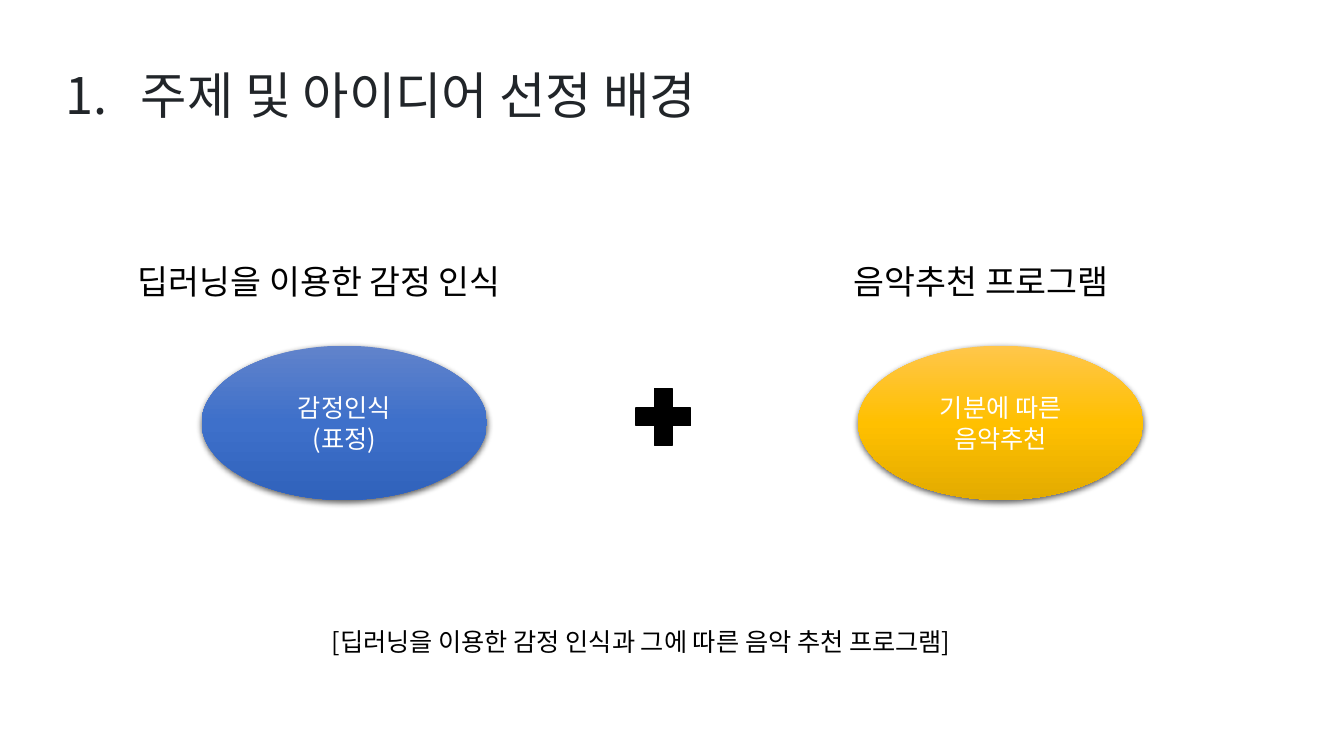
from dataclasses import dataclass

from lxml.etree import SubElement
from pptx import Presentation
from pptx.dml.color import RGBColor
from pptx.enum.shapes import MSO_SHAPE
from pptx.enum.text import MSO_ANCHOR, MSO_AUTO_SIZE, PP_ALIGN
from pptx.oxml import parse_xml
from pptx.oxml.ns import nsdecls, qn
from pptx.util import Inches, Pt


@dataclass(frozen=True)
class Theme:
    font: str = "Noto Sans CJK KR"
    title_color: str = "212529"
    black: str = "000000"
    white: str = "FFFFFF"
    blue: tuple = ("6183CB", "3E70CA", "3062BB")
    gold: tuple = ("FFC64B", "FFC000", "E3AB00")
    title_size: int = 36
    heading_size: int = 24
    body_size: int = 18


class SlideBuilder:
    """Holds the theme and the slide being drawn."""

    def __init__(self, presentation, theme):
        self.theme = theme
        self.slide = presentation.slides.add_slide(presentation.slide_layouts[6])

    def set_text(self, shape, lines, size, color, **paragraph_format):
        """Fill a shape with one paragraph per line."""
        frame = shape.text_frame
        frame.word_wrap = True
        frame.text = "\n".join(lines)
        for paragraph in frame.paragraphs:
            for name, value in paragraph_format.items():
                setattr(paragraph, name, value)
            for run in paragraph.runs:
                font_format = {"name": self.theme.font, "size": Pt(size)}
                for name, value in font_format.items():
                    setattr(run.font, name, value)
                run.font.color.rgb = RGBColor.from_string(color)
                east_asian = SubElement(run._r.get_or_add_rPr(), qn("a:ea"))
                east_asian.set("typeface", self.theme.font)

    def text(self, box, line, size, color, parent=None, **paragraph_format):
        shapes = (parent or self.slide).shapes
        shape = shapes.add_textbox(*map(Inches, box))
        self.set_text(shape, [line], size, color, **paragraph_format)
        shape.text_frame.auto_size = MSO_AUTO_SIZE.SHAPE_TO_FIT_TEXT
        return shape

    def title(self, box, line, indent):
        """Numbered title with a hanging indent."""
        theme = self.theme
        shape = self.text(box, line, theme.title_size, theme.title_color, line_spacing=0.9)
        frame_format = {"auto_size": MSO_AUTO_SIZE.NONE, "vertical_anchor": MSO_ANCHOR.MIDDLE}
        for name, value in frame_format.items():
            setattr(shape.text_frame, name, value)
        properties = shape.text_frame.paragraphs[0]._p.get_or_add_pPr()
        properties.set("marL", str(Inches(indent)))
        properties.set("indent", str(-Inches(indent)))

    def ellipse(self, box, lines, colors, parent):
        """Ellipse with a vertical gradient and a soft shadow."""
        shape = parent.shapes.add_shape(MSO_SHAPE.OVAL, *map(Inches, box))
        shape.line.fill.background()
        shape.shadow.inherit = False
        stops = "".join(
            f'<a:gs pos="{index * 50000}"><a:srgbClr val="{color}"/></a:gs>'
            for index, color in enumerate(colors)
        )
        properties = shape._element.spPr
        properties.find(qn("a:prstGeom")).addnext(parse_xml(
            f'<a:gradFill {nsdecls("a")} rotWithShape="1"><a:gsLst>{stops}</a:gsLst>'
            '<a:lin ang="5400000" scaled="0"/></a:gradFill>'
        ))
        properties.find(qn("a:effectLst")).append(parse_xml(
            f'<a:outerShdw {nsdecls("a")} blurRad="{Pt(4.5)}" dist="{Pt(1.5)}" '
            'dir="5400000" algn="ctr" rotWithShape="0">'
            f'<a:srgbClr val="{self.theme.black}"><a:alpha val="63000"/></a:srgbClr>'
            '</a:outerShdw>'
        ))
        shape.text_frame.vertical_anchor = MSO_ANCHOR.MIDDLE
        self.set_text(shape, lines, self.theme.body_size, self.theme.white,
                      alignment=PP_ALIGN.CENTER)

    def concept(self, heading, heading_left, heading_width, lines, ellipse_left, colors):
        """Group of a heading and the ellipse below it."""
        group = self.slide.shapes.add_group_shape()
        self.text((heading_left, 2.54, heading_width, 0.5), heading,
                  self.theme.heading_size, self.theme.black, group)
        self.ellipse((ellipse_left, 3.43, 2.83, 1.53), lines, colors, group)

    def plus(self, box):
        shape = self.slide.shapes.add_shape(MSO_SHAPE.MATH_PLUS, *map(Inches, box))
        shape.shadow.inherit = False
        for fill in (shape.fill, shape.line.fill):
            fill.solid()
            fill.fore_color.rgb = RGBColor.from_string(self.theme.black)
        shape.line.width = Pt(1)


def main():
    presentation = Presentation()
    presentation.slide_width = Inches(13.33)
    presentation.slide_height = Inches(7.5)
    theme = Theme()
    builder = SlideBuilder(presentation, theme)

    # Title
    builder.title((0.55, 0.25, 11.5, 1.45), "1.\t주제 및 아이디어 선정 배경", 0.75)

    # The two ideas joined by a plus sign
    builder.concept("딥러닝을 이용한 감정 인식", 1.27, 4.29,
                    ["감정인식", "(표정)"], 2, theme.blue)
    builder.concept("음악추천 프로그램", 8.37, 3.1,
                    ["기분에 따른", "음악추천"], 8.51, theme.gold)
    builder.plus((6.21, 3.75, 0.74, 0.77))

    # Summary
    builder.text((3.19, 6.16, 8.28, 0.4),
                 "[딥러닝을 이용한 감정 인식과 그에 따른 음악 추천 프로그램]",
                 theme.body_size, theme.black)

    presentation.save("out.pptx")


if __name__ == "__main__":
    main()
